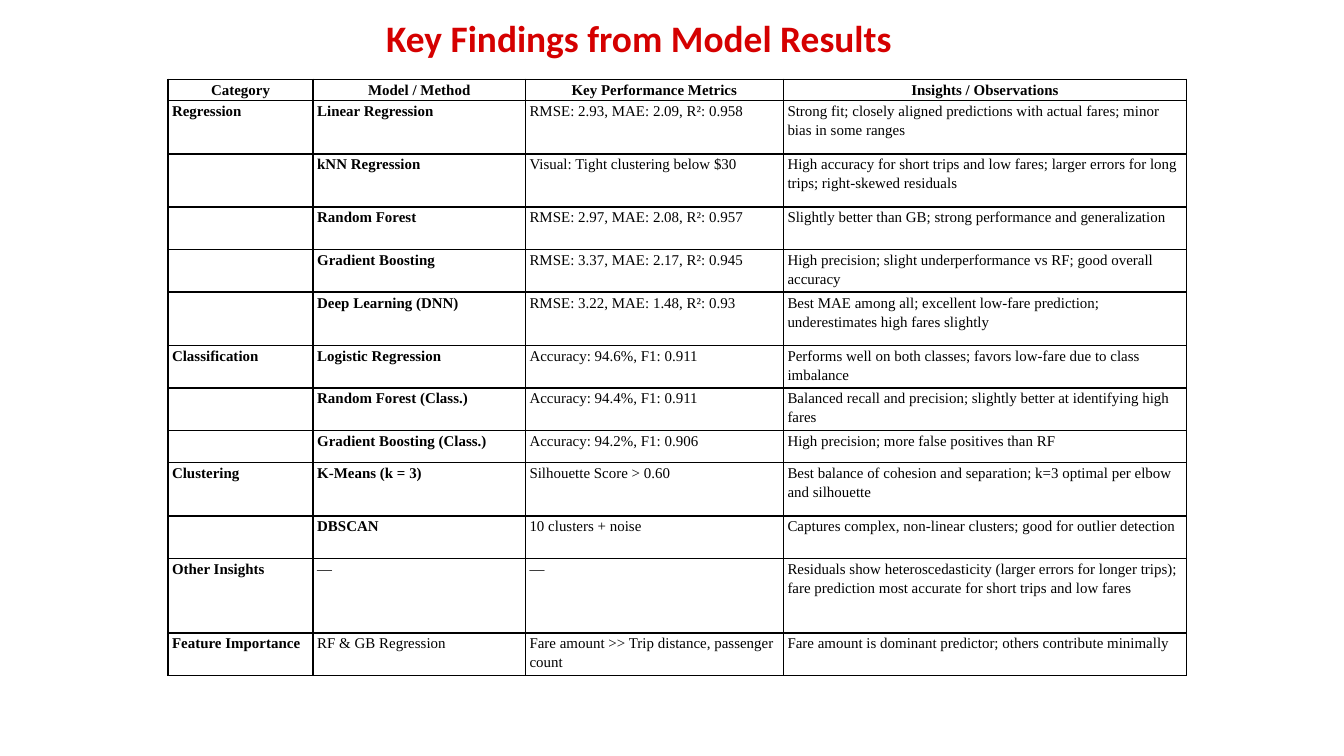
import dataclasses

import lxml.etree
import pptx
import pptx.dml.color
import pptx.enum.text
import pptx.oxml.ns
import pptx.util
from pptx.util import Inches


@dataclasses.dataclass(frozen=True)
class Theme:
    title_color: str = "D50000"
    ink: str = "000000"
    title_font: str = "Calibri"
    table_font: str = "Times New Roman"
    title_size: int = 20
    table_size: int = 8
    border_width: int = 1
    line_spacing: float = 1.15


THEME = Theme()
TITLE = "Key Findings from Model Results"
SLIDE_WIDTH = 10
TABLE_HEIGHT = 4.44
COLUMN_WIDTHS = [1.08, 1.58, 1.92, 3]
ROW_UNITS = [2, 5, 5, 4, 4, 5, 4, 4, 3, 5, 4, 7, 4]
HEADER = ("Category", "Model / Method", "Key Performance Metrics", "Insights / Observations")
FINDINGS = [
    ("Regression", "Linear Regression", "RMSE: 2.93, MAE: 2.09, R²: 0.958",
     "Strong fit; closely aligned predictions with actual fares; minor bias in some ranges"),
    ("", "kNN Regression", "Visual: Tight clustering below $30",
     "High accuracy for short trips and low fares; larger errors for long trips; right-skewed residuals"),
    ("", "Random Forest", "RMSE: 2.97, MAE: 2.08, R²: 0.957",
     "Slightly better than GB; strong performance and generalization"),
    ("", "Gradient Boosting", "RMSE: 3.37, MAE: 2.17, R²: 0.945",
     "High precision; slight underperformance vs RF; good overall accuracy"),
    ("", "Deep Learning (DNN)", "RMSE: 3.22, MAE: 1.48, R²: 0.93",
     "Best MAE among all; excellent low-fare prediction; underestimates high fares slightly"),
    ("Classification", "Logistic Regression", "Accuracy: 94.6%, F1: 0.911",
     "Performs well on both classes; favors low-fare due to class imbalance"),
    ("", "Random Forest (Class.)", "Accuracy: 94.4%, F1: 0.911",
     "Balanced recall and precision; slightly better at identifying high fares"),
    ("", "Gradient Boosting (Class.)", "Accuracy: 94.2%, F1: 0.906",
     "High precision; more false positives than RF"),
    ("Clustering", "K-Means (k = 3)", "Silhouette Score > 0.60",
     "Best balance of cohesion and separation; k=3 optimal per elbow and silhouette"),
    ("", "DBSCAN", "10 clusters + noise",
     "Captures complex, non-linear clusters; good for outlier detection"),
]
SUMMARY = [
    ("Other Insights", "—", "—",
     "Residuals show heteroscedasticity (larger errors for longer trips); "
     "fare prediction most accurate for short trips and low fares"),
    ("Feature Importance", "RF & GB Regression", "Fare amount >> Trip distance, passenger count",
     "Fare amount is dominant predictor; others contribute minimally"),
]


def style_runs(paragraph, font_name, size, color, bold):
    for run in paragraph.runs:
        run.font.name = font_name
        run.font.size = pptx.util.Pt(size)
        run.font.bold = bold
        run.font.color.rgb = pptx.dml.color.RGBColor.from_string(color)


def add_child(parent, tag, **attributes):
    return lxml.etree.SubElement(parent, pptx.oxml.ns.qn(tag), **attributes)


def add_borders(cell):
    properties = cell._tc.get_or_add_tcPr()
    width = str(pptx.util.Pt(THEME.border_width))
    for side in ("L", "R", "T", "B"):
        border = add_child(properties, f"a:ln{side}", w=width)
        add_child(add_child(border, "a:solidFill"), "a:srgbClr", val=THEME.ink)


def fill_cell(cell, wording, bold, centered):
    add_borders(cell)
    cell.fill.background()
    cell.margin_left = cell.margin_right = Inches(0.03)
    cell.margin_top = cell.margin_bottom = 0
    cell.text_frame.text = wording
    paragraph = cell.text_frame.paragraphs[0]
    paragraph.line_spacing = THEME.line_spacing
    if centered:
        paragraph.alignment = pptx.enum.text.PP_ALIGN.CENTER
    style_runs(paragraph, THEME.table_font, THEME.table_size, THEME.ink, bold)
    if not wording:
        add_child(paragraph._p, "a:endParaRPr", sz=str(THEME.table_size * 100))


def add_title(slide):
    title = slide.shapes.add_textbox(Inches(2.75), Inches(0.06), Inches(4.01), Inches(0.44))
    frame = title.text_frame
    frame.text = TITLE
    frame.word_wrap = False
    frame.auto_size = pptx.enum.text.MSO_AUTO_SIZE.SHAPE_TO_FIT_TEXT
    frame.vertical_anchor = pptx.enum.text.MSO_ANCHOR.MIDDLE
    heading = frame.paragraphs[0]
    heading.alignment = pptx.enum.text.PP_ALIGN.CENTER
    style_runs(heading, THEME.title_font, THEME.title_size, THEME.title_color, True)


def add_findings_table(slide):
    records = [HEADER, *FINDINGS, *SUMMARY]
    findings = slide.shapes.add_table(
        len(records), len(HEADER), Inches(1.25), Inches(0.59),
        Inches(sum(COLUMN_WIDTHS)), Inches(TABLE_HEIGHT)).table
    findings.first_row = findings.horz_banding = False
    for column, width in zip(findings.columns, COLUMN_WIDTHS):
        column.width = Inches(width)
    unit_height = TABLE_HEIGHT / sum(ROW_UNITS)
    for index, (row, units, record) in enumerate(zip(findings.rows, ROW_UNITS, records)):
        row.height = Inches(units * unit_height)
        is_header = index == 0
        bold_columns = len(HEADER) if is_header else 2 if index <= len(FINDINGS) else 1
        for position, (cell, wording) in enumerate(zip(row.cells, record)):
            fill_cell(cell, wording, position < bold_columns, is_header)


def main():
    deck = pptx.Presentation()
    deck.slide_width = Inches(SLIDE_WIDTH)
    deck.slide_height = Inches(SLIDE_WIDTH * 9 / 16)
    slide = deck.slides.add_slide(deck.slide_layouts[6])
    add_findings_table(slide)
    add_title(slide)
    deck.save("out.pptx")


if __name__ == "__main__":
    main()
